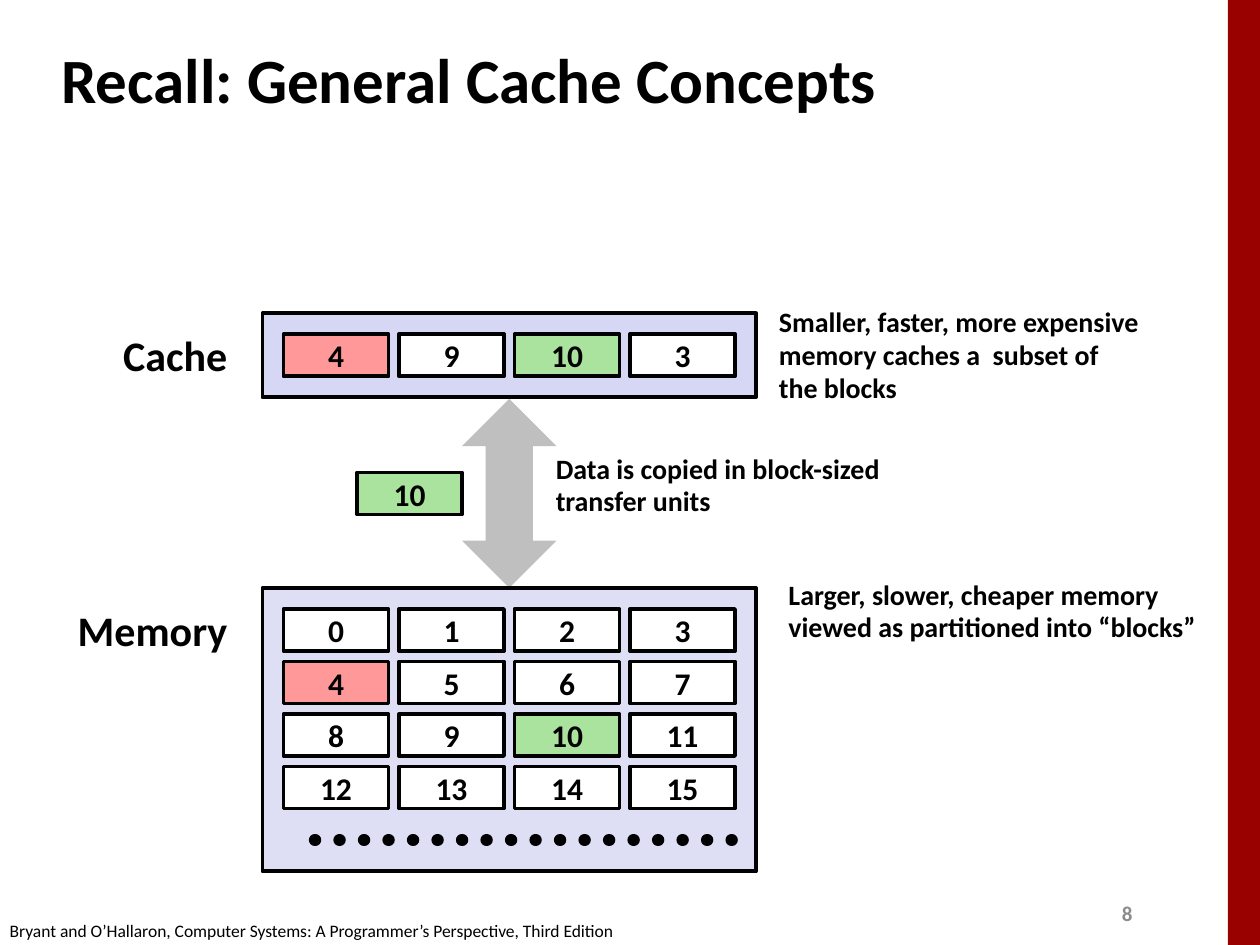
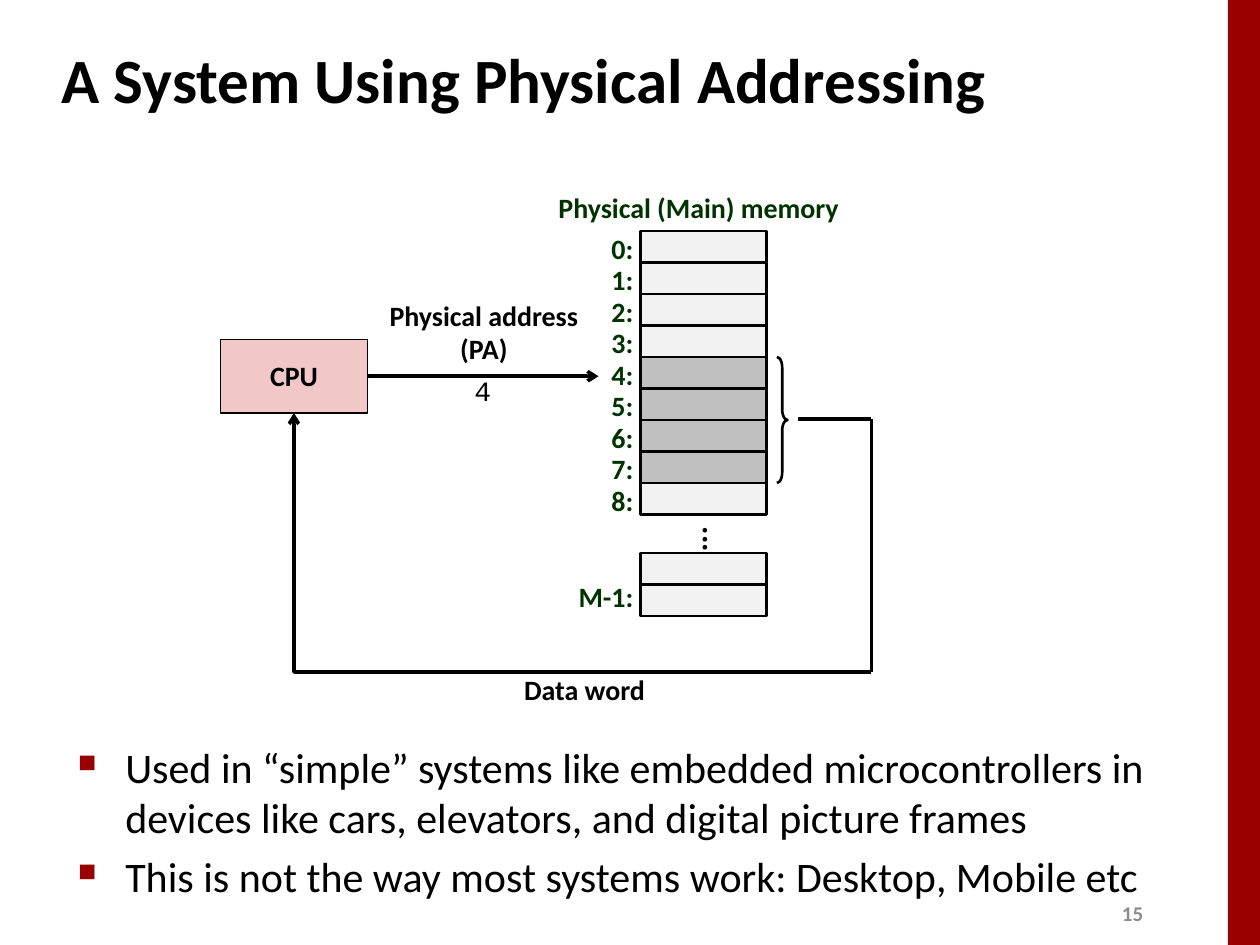
from dataclasses import dataclass

from lxml.etree import SubElement as Sub
from pptx import Presentation
from pptx.dml.color import RGBColor as RGB
from pptx.enum.dml import MSO_LINE as Dash
from pptx.enum.shapes import MSO_CONNECTOR as Link, MSO_SHAPE as Form
from pptx.enum.text import MSO_ANCHOR as Anchor, PP_ALIGN as Align
from pptx.oxml.ns import qn
from pptx.util import Pt


@dataclass(frozen=True)
class Theme:
    font: str = "Calibri"
    mono: str = "Courier New"
    ink: str = "000000"
    band: str = "990000"
    page: str = "8C8C8C"
    arrow: str = "BFBFBF"
    cache: str = "D6D6F5"
    memory: str = "DEDFF5"
    white: str = "FFFFFF"
    red: str = "FF9999"
    green: str = "A9E39D"
    cpu: str = "F1C7C7"
    cell: str = "F2F2F2"
    word: str = "C0C0C0"
    label: str = "003300"
    title: int = 36
    head: int = 24
    block: int = 18
    note: int = 16
    number: int = 12
    source: int = 10


T = Theme()
MARKS = {"4": T.red, "10": T.green}
BLOCK_W, BLOCK_H = 60, 24
STEP_X, STEP_Y = 66, 30
CELL_X, CELL_Y, CELL_W, CELL_H = 366, 132, 72, 18


def rgb(code):
    return RGB.from_string(code)


def write(frame, text, size, color=T.ink, bold=True, align=Align.LEFT,
          anchor=Anchor.MIDDLE, wrap=False, space=None, before=None, font=T.font):
    frame.text = text
    frame.word_wrap = wrap
    frame.vertical_anchor = anchor
    for para in frame.paragraphs:
        para.alignment = align
        para.line_spacing = space
        if before is not None:
            para.space_before = Pt(before)
        for run in para.runs:
            run.font.name = font
            run.font.size = Pt(size)
            run.font.bold = bold
            run.font.color.rgb = rgb(color)
    return frame


def label(slide, text, box, size, **style):
    shape = slide.shapes.add_textbox(*map(Pt, box))
    return write(shape.text_frame, text, size, **style)


def note(slide, text, box, **style):
    return label(slide, text, box, T.note, space=0.98, **style)


def mark(slide, text, box, align=Align.RIGHT):
    label(slide, text, box, T.note, color=T.label, align=align,
          anchor=Anchor.TOP, space=0.88, before=6)


def draw(slide, form, box, fill=None, line=None):
    """Add a preset shape; without a fill or a line width that part is empty."""
    shape = slide.shapes.add_shape(form, *map(Pt, box))
    shape.shadow.inherit = False
    if fill:
        shape.fill.solid()
        shape.fill.fore_color.rgb = rgb(fill)
    else:
        shape.fill.background()
    if line:
        shape.line.color.rgb = rgb(T.ink)
        shape.line.width = Pt(line)
    else:
        shape.line.fill.background()
    return shape


def block(slide, text, left, top):
    shape = draw(slide, Form.RECTANGLE, (left, top, BLOCK_W, BLOCK_H),
                 MARKS.get(text, T.white), 2.25)
    write(shape.text_frame, text, T.block, align=Align.CENTER)


def grid(slide, items, left, top):
    """Place blocks row by row, four to a row."""
    for i, item in enumerate(items):
        row, col = divmod(i, 4)
        block(slide, str(item), left + col * STEP_X, top + row * STEP_Y)


def wire(slide, start, end, width=2, kind=Link.STRAIGHT, head=False):
    link = slide.shapes.add_connector(kind, *map(Pt, (*start, *end)))
    link.line.color.rgb = rgb(T.ink)
    link.line.width = Pt(width)
    props = link._element.spPr
    if head:
        Sub(props.find(qn("a:ln")), qn("a:tailEnd"), type="arrow")
    Sub(props, qn("a:effectLst"))
    return link


def bullets(slide, text, box):
    frame = label(slide, text, box, T.head, bold=False, anchor=Anchor.TOP,
                  wrap=True, before=4.8)
    for para in frame.paragraphs:
        props = para._p.get_or_add_pPr()
        props.set("marL", str(Pt(27)))
        props.set("indent", str(-Pt(27)))
        Sub(Sub(props, qn("a:buClr")), qn("a:srgbClr"), val=T.band)
        Sub(props, qn("a:buSzPct"), val="60000")
        Sub(props, qn("a:buChar"), char="■")


def start(deck, title, number):
    """Add a blank slide with the shared band, page number and title."""
    slide = deck.slides.add_slide(deck.slide_layouts[6])
    draw(slide, Form.RECTANGLE, (701.7, 0, 18.3, 540), T.band)
    label(slide, str(number), (634, 511, 29, 22), T.number, color=T.page)
    label(slide, title, (28, 15, 598, 60), T.title, wrap=True)
    return slide


def caching(deck):
    slide = start(deck, "Recall: General Cache Concepts", 8)
    draw(slide, Form.UP_DOWN_ARROW, (264, 228, 54, 108), T.arrow)
    draw(slide, Form.RECTANGLE, (150, 336, 282, 162), T.memory, 2.25)
    draw(slide, Form.RECTANGLE, (150, 179, 282, 48), T.cache, 2.25)
    grid(slide, range(16), 162, 348)
    grid(slide, (4, 9, 10, 3), 162, 191)
    block(slide, "10", 204, 270)

    dots = wire(slide, (180, 480), (420, 480), 7)
    dots.line.dash_style = Dash.ROUND_DOT
    dots.line._get_or_add_ln().set("cap", "rnd")

    for text, left, top, width in (("Cache", 62, 185, 75), ("Memory", 36, 342, 101)):
        label(slide, text, (left, top, width, 36), T.head, align=Align.RIGHT)
    note(slide, "Larger, slower, cheaper memory\nviewed as partitioned into “blocks”",
         (443.5, 327, 252, 45))
    note(slide, "Data is copied in block-sized transfer units",
         (310.5, 255, 223, 45), wrap=True)
    note(slide, "Smaller, faster, more expensive\nmemory caches a  subset of\nthe blocks",
         (438, 171, 231, 64))
    label(slide, "Bryant and O’Hallaron, Computer Systems: "
          "A Programmer’s Perspective, Third Edition",
          (-1.5, 522, 366, 19.5), T.source, bold=False)


def memory(slide):
    mark(slide, "Physical (Main) memory", (311, 108, 176.5, 24), Align.CENTER)
    for i in range(9):
        top = CELL_Y + i * CELL_H
        fill = T.word if 4 <= i <= 7 else T.cell
        draw(slide, Form.RECTANGLE, (CELL_X, top, CELL_W, CELL_H), fill, 1.5)
        mark(slide, f"{i}:", (342, top - 1, 27, 24))
    for top in (316, 334):
        draw(slide, Form.RECTANGLE, (CELL_X, top, CELL_W, CELL_H), T.cell, 1.5)
    mark(slide, "M-1:", (323, 330, 46, 24))

    gap = label(slide, "...", (372, 294, 72, 18), T.block, align=Align.CENTER, space=0.98)
    gap._txBody.bodyPr.set("vert", "eaVert")
    gap.paragraphs[0]._p.get_or_add_pPr().set("rtl", "1")

    brace = draw(slide, Form.RIGHT_BRACE, (444, 204, 6, 72), line=1.5)
    brace.adjustments[0] = 1


def wiring(slide):
    wire(slide, (210, 215), (342, 215), head=True)
    wire(slide, (456, 239.5), (498, 239.5))
    wire(slide, (498, 239.5), (498, 384))
    back = wire(slide, (498, 384), (168, 236), kind=Link.ELBOW, head=True)
    bend = back._element.spPr.find(qn("a:prstGeom"))
    Sub(bend.get_or_add_avLst(), qn("a:gd"), name="adj1", fmla="val 100000")


def physical(deck):
    slide = start(deck, "A System Using Physical Addressing", 15)
    bullets(slide, "Used in “simple” systems like embedded microcontrollers in devices "
            "like cars, elevators, and digital picture frames\n"
            "This is not the way most systems work: Desktop, Mobile etc",
            (37.5, 420, 634, 69))
    memory(slide)
    cpu = draw(slide, Form.RECTANGLE, (126, 194, 84, 42), T.cpu, 1)
    write(cpu.text_frame, "CPU", T.note, align=Align.CENTER, space=0.98)
    note(slide, "Physical address\n(PA)", (215, 168, 123, 45), align=Align.CENTER)
    note(slide, "Data word", (292, 381, 84, 27), align=Align.CENTER)
    wiring(slide)
    label(slide, "4", (264, 210, 24.5, 27), T.note, bold=False,
          anchor=Anchor.TOP, font=T.mono)


def main():
    deck = Presentation()
    deck.slide_width, deck.slide_height = Pt(720), Pt(540)
    caching(deck)
    physical(deck)
    deck.save("out.pptx")


if __name__ == "__main__":
    main()
